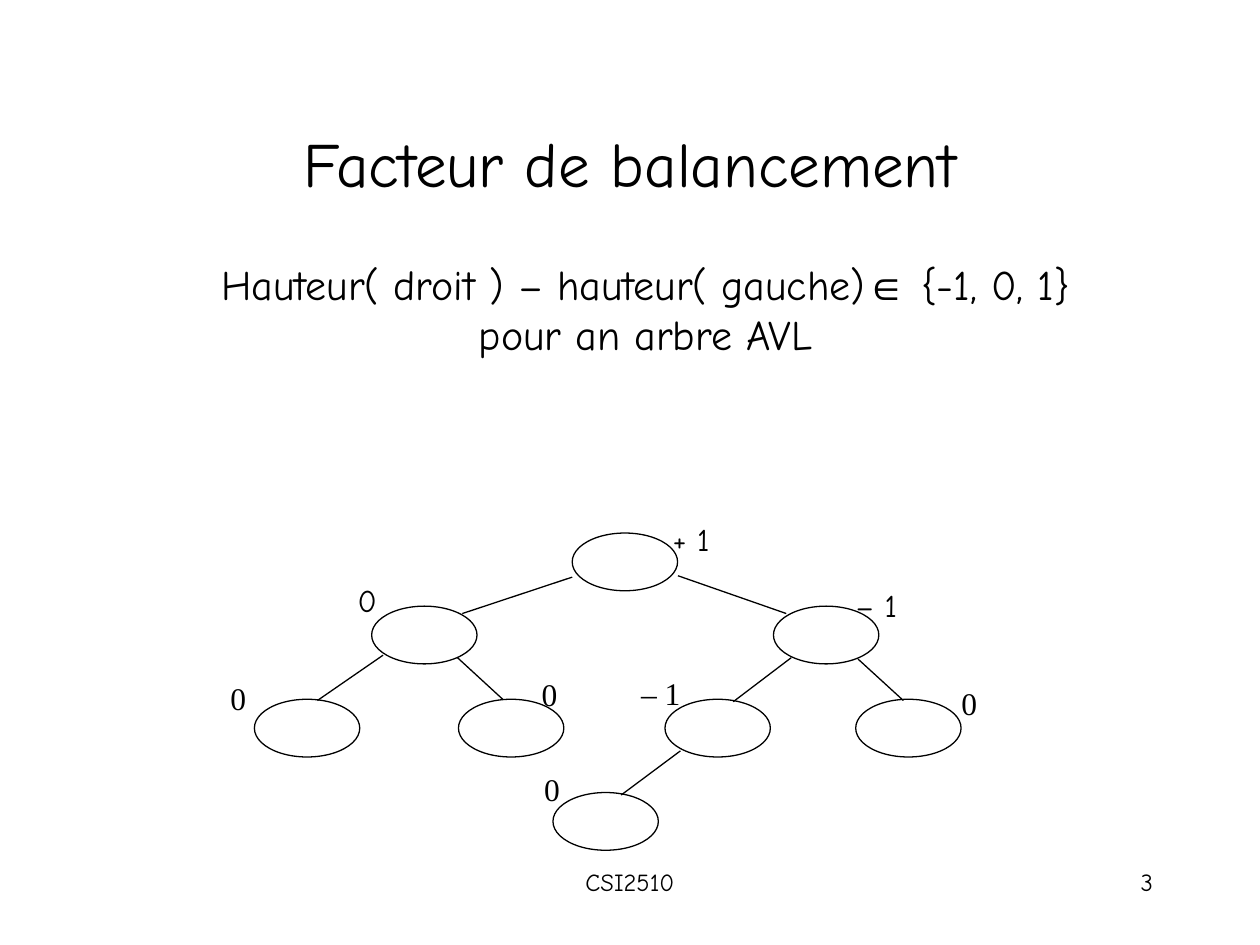
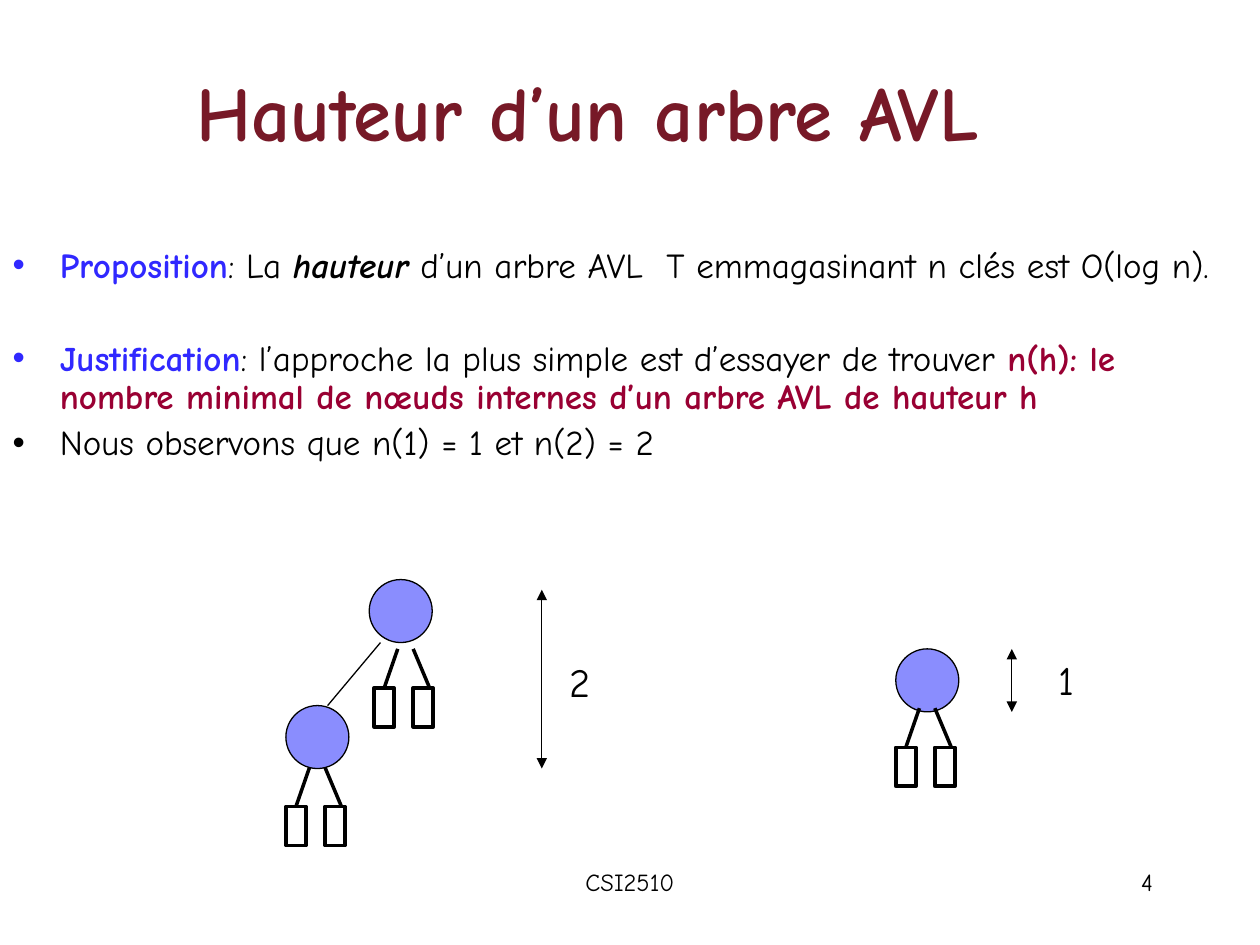
"""Build two slides on the balance factor and height of AVL trees."""
import lxml.etree
import pptx
import pptx.dml.color
import pptx.enum.shapes
import pptx.enum.text
import pptx.oxml.ns
import pptx.util

Pt = pptx.util.Pt
ALIGN = pptx.enum.text.PP_ALIGN
SHAPE = pptx.enum.shapes.MSO_SHAPE
COLORS = {
    "ink": "000000",
    "paper": "FFFFFF",
    "maroon": "771927",
    "blue": "3028FF",
    "crimson": "990033",
    "node": "8A8DFE",
}
COMIC, TIMES, ARIAL = "Comic Neue", "Times New Roman", "Arial"

NODE_SIZE = (60.2, 33)
NODES = [
    (327, 304.6),
    (212.4, 346.4), (442, 346.4),
    (145.4, 399.6), (262, 399.6), (380, 399.6), (489, 399.6),
    (316, 452.9),
]
EDGES = [
    ((327, 329.8), (264.2, 350.6)),
    ((387.4, 329), (449.3, 350.6)),
    ((261.4, 375.8), (287.3, 399.6)),
    ((218.9, 374.4), (181.4, 400.3)),
    ((490.3, 376.6), (516.2, 400.3)),
    ((452.2, 375.8), (419, 401)),
    ((388.8, 429.1), (355, 454.3)),
]
BALANCES = [
    ("+ 1", 377.3, 293.8, COMIC), ("– 1", 481.7, 331.2, COMIC),
    ("0", 197.3, 328.3, COMIC), ("0", 124.6, 384.5, TIMES),
    ("0", 302.4, 382.3, TIMES), ("0", 542.2, 387.4, TIMES),
    ("– 1", 359.3, 381.6, TIMES), ("0", 303.8, 436.3, TIMES),
]
STATEMENTS = [
    ("blue", 0, [
        ("Proposition", "blue", True, False),
        (": La ", "ink", False, False),
        ("hauteur", "ink", True, True),
        (" d’un arbre AVL  T emmagasinant n clés est O(log n).", "ink", False, False),
    ]),
    ("blue", 31.5, [
        ("Justification", "blue", True, False),
        (": l’approche la plus simple est d’essayer de trouver ", "ink", False, False),
        ("n(h): le nombre minimal de nœuds internes d’un arbre AVL de hauteur h",
         "crimson", True, False),
    ]),
    ("ink", 5, [("Nous observons que n(1) = 1 et n(2) = 2", "ink", False, False)]),
]


def rgb(name):
    return pptx.dml.color.RGBColor.from_string(COLORS[name])


def add_xml(parent, tag, **attributes):
    return lxml.etree.SubElement(parent, pptx.oxml.ns.qn(tag), **attributes)


def add_run(paragraph, text, size, font=COMIC, color="ink", bold=False, italic=False):
    run = paragraph.add_run()
    run.text = text
    run.font.name = font
    run.font.size = Pt(size)
    run.font.bold = bold
    run.font.italic = italic
    run.font.color.rgb = rgb(color)


def place(shape, left, top, width, height):
    shape.left, shape.top = Pt(left), Pt(top)
    shape.width, shape.height = Pt(width), Pt(height)


def add_text(slide, box, runs, size, align=ALIGN.LEFT, wrap=True, grow=True):
    frame = slide.shapes.add_textbox(*map(Pt, box)).text_frame
    frame.word_wrap = wrap
    if grow:
        frame.auto_size = pptx.enum.text.MSO_AUTO_SIZE.SHAPE_TO_FIT_TEXT
    paragraph = frame.paragraphs[0]
    paragraph.alignment = align
    for text, font in runs:
        add_run(paragraph, text, size, font)


def add_outlined(slide, kind, box, fill=None, weight=0.75):
    shape = slide.shapes.add_shape(kind, *map(Pt, box))
    shape.shadow.inherit = False
    if fill:
        shape.fill.solid()
        shape.fill.fore_color.rgb = rgb(fill)
    else:
        shape.fill.background()
    shape.line.color.rgb = rgb("ink")
    shape.line.width = Pt(weight)
    return shape


def add_line(slide, start, end, weight=0.75, arrows=False):
    straight = pptx.enum.shapes.MSO_CONNECTOR.STRAIGHT
    line = slide.shapes.add_connector(straight, *map(Pt, start + end))
    line.line.color.rgb = rgb("ink")
    line.line.width = Pt(weight)
    properties = line._element.spPr
    if arrows:
        outline = properties.find(pptx.oxml.ns.qn("a:ln"))
        for tag in ("a:headEnd", "a:tailEnd"):
            add_xml(outline, tag, type="triangle")
    add_xml(properties, "a:effectLst")
    return line


def add_leaf_pair(slide, left, top):
    left_leaf, _ = [
        add_outlined(slide, SHAPE.RECTANGLE, (left + shift, top, 11.5, 22.3), weight=2)
        for shift in (0, 22.3)
    ]
    branch = add_line(slide, (left + 13.5, top - 22.3), (left + 5.75, top), 2)
    branch.end_connect(left_leaf, 0)
    add_line(slide, (left + 22.3, top - 22.3), (left + 31.7, top), 2)


def add_statements(body):
    place(body, 0, 138.2, 702, 324)
    frame = body.text_frame
    frame.auto_size = pptx.enum.text.MSO_AUTO_SIZE.NONE
    for index, (bullet, before, runs) in enumerate(STATEMENTS):
        paragraph = frame.add_paragraph() if index else frame.paragraphs[0]
        properties = paragraph._p.get_or_add_pPr()
        properties.set("marL", str(Pt(27)))
        properties.set("indent", str(-Pt(27)))
        add_xml(add_xml(properties, "a:buClr"), "a:srgbClr", val=COLORS[bullet])
        add_xml(properties, "a:buChar", char="•")
        paragraph.line_spacing = 0.9
        paragraph.space_before = Pt(before)
        for text, color, bold, italic in runs:
            add_run(paragraph, text, 20, COMIC, color, bold, italic)


def add_slide(deck, layout, number, title, corner, size, color="ink", bold=False):
    slide = deck.slides.add_slide(deck.slide_layouts[layout])
    heading = slide.shapes.title
    place(heading, *corner, 612, 90)
    frame = heading.text_frame
    frame.auto_size = pptx.enum.text.MSO_AUTO_SIZE.NONE
    frame.vertical_anchor = pptx.enum.text.MSO_ANCHOR.MIDDLE
    frame.paragraphs[0].alignment = ALIGN.CENTER
    add_run(frame.paragraphs[0], title, size, COMIC, color, bold)
    add_text(slide, (246, 492, 228, 36), [("CSI2510", COMIC)], 14, ALIGN.CENTER, grow=False)
    add_text(slide, (516, 492, 150, 36), [(number, COMIC)], 14, ALIGN.RIGHT, grow=False)
    return slide


def build_balance_slide(deck):
    slide = add_slide(deck, 5, "3", "Facteur de balancement", (54, 48), 36)
    definition = [
        ("Hauteur( droit ) – hauteur( gauche)", COMIC),
        ("∈", ARIAL),
        (" {-1, 0, 1} pour an arbre AVL", COMIC),
    ]
    add_text(slide, (96, 144, 546, 65), definition, 24, ALIGN.CENTER)
    for node in NODES:
        add_outlined(slide, SHAPE.OVAL, node + NODE_SIZE, "paper")
    for start, end in EDGES:
        add_line(slide, start, end)
    for balance, left, top, font in BALANCES:
        width = 35.3 if balance == "0" else 55.4
        add_text(slide, (left, top, width, 29), [(balance, font)], 18)


def build_height_slide(deck):
    slide = add_slide(deck, 1, "4", "Hauteur d’un arbre AVL", (30, 18), 44, "maroon", True)
    add_statements(slide.placeholders[1])
    for left, top in ((511.9, 370.8), (211, 331.2), (163.4, 403.2)):
        add_outlined(slide, SHAPE.OVAL, (left, top, 36, 36), "node")
    add_line(slide, (187.2, 403.2), (217.4, 367.2))
    for x, top, bottom in ((578.2, 370.8, 406.8), (309.6, 337, 439.2)):
        add_line(slide, (x, top), (x, bottom), arrows=True)
    for height, left, top, width in (("2", 318.2, 372.2, 26), ("1", 597.6, 370.8, 23)):
        add_text(slide, (left, top, width, 35.3), [(height, COMIC)], 23, wrap=False)
    for left, top in ((213.8, 393.1), (163.4, 460.8), (511.9, 427)):
        add_leaf_pair(slide, left, top)


def main():
    deck = pptx.Presentation()
    deck.slide_width, deck.slide_height = Pt(720), Pt(540)
    build_balance_slide(deck)
    build_height_slide(deck)
    deck.save("out.pptx")


if __name__ == "__main__":
    main()
